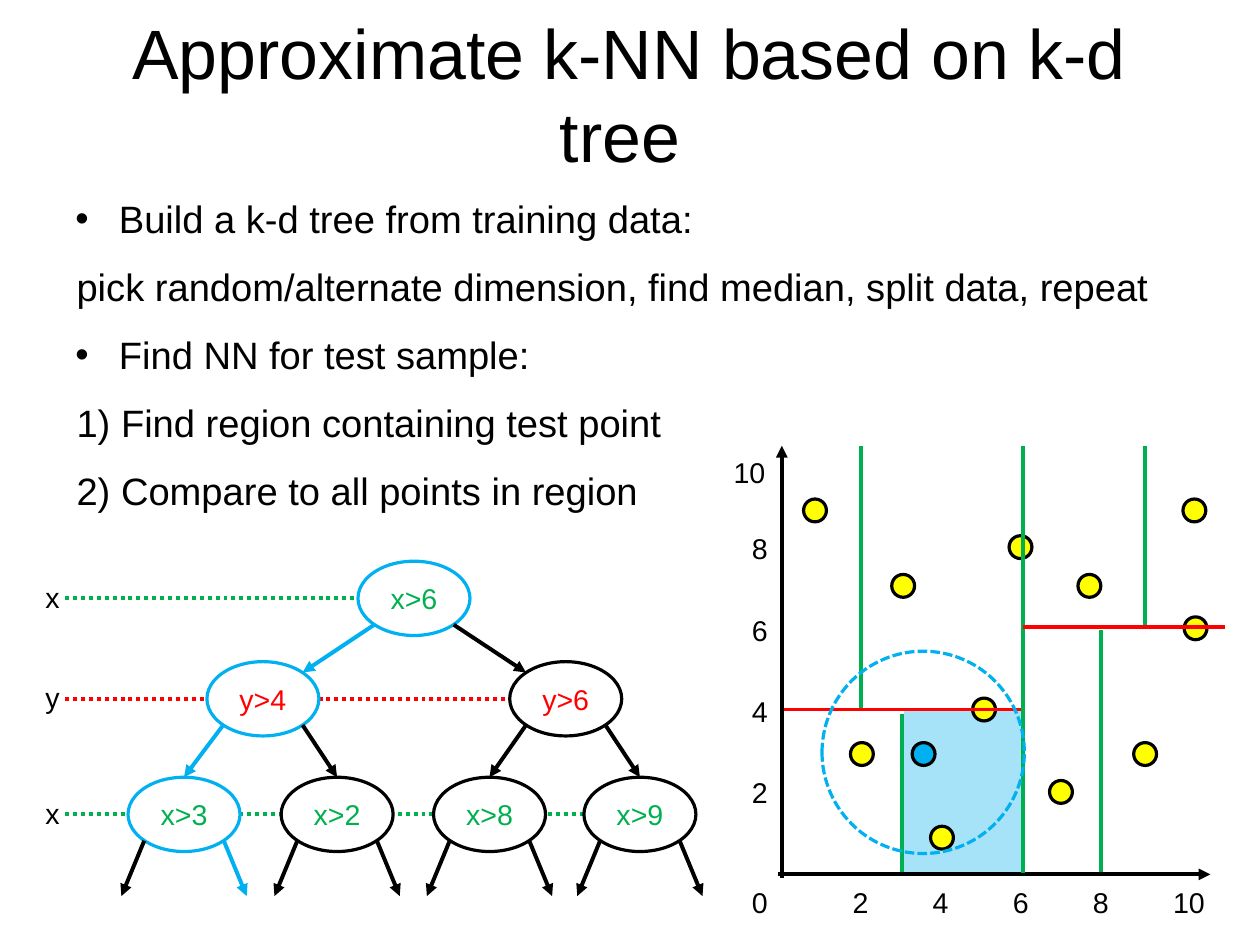
from pptx import Presentation
from pptx.dml.color import RGBColor
from pptx.enum.dml import MSO_LINE
from pptx.enum.shapes import MSO_CONNECTOR, MSO_SHAPE
from pptx.enum.text import MSO_ANCHOR, MSO_AUTO_SIZE, PP_ALIGN
from pptx.oxml.ns import qn
from pptx.util import Cm, Inches, Pt
from lxml.etree import SubElement

BLACK, WHITE, YELLOW = "000000", "FFFFFF", "FFFF00"
GREEN, RED, BLUE = "00B050", "FF0000", "00B0F0"
DOT = 0.2
NODE_W, NODE_H = 0.98, 0.65


def color(hex_str):
    return RGBColor.from_string(hex_str)


def write(p, text, size=18, fill=BLACK, align=None, after=0):
    p.alignment = align
    p.space_before, p.space_after = Pt(0), Pt(after)
    r = p.add_run()
    r.text = text
    r.font.name, r.font.size = "Arial", Pt(size)
    r.font.color.rgb = color(fill)


def line(s, x1, y1, x2, y2, stroke=BLACK, dash=None, arrow=False):
    c = s.shapes.add_connector(MSO_CONNECTOR.STRAIGHT,
                               *map(Inches, (x1, y1, x2, y2)))
    c.line.color.rgb, c.line.width = color(stroke), Pt(2.5)
    if dash:
        c.line.dash_style = dash
    if arrow:
        SubElement(c.line._get_or_add_ln(), qn("a:tailEnd"), type="triangle")
    SubElement(c._element.spPr, qn("a:effectLst"))


def shape(s, kind, x, y, w, h, fill=None, stroke=None, alpha=None):
    sp = s.shapes.add_shape(kind, *map(Inches, (x, y, w, h)))
    sp.shadow.inherit = False
    if fill:
        sp.fill.solid()
        sp.fill.fore_color.rgb = color(fill)
    else:
        sp.fill.background()
    if alpha:
        rgb = sp.fill._xPr.find(qn("a:solidFill"))[0]
        SubElement(rgb, qn("a:alpha"), val=str(alpha * 1000))
    if stroke:
        sp.line.color.rgb, sp.line.width = color(stroke), Pt(2)
    else:
        sp.line.fill.background()
    return sp


def label(s, text, x, y):
    w = 0.34 if len(text) == 1 else 0.5
    tf = s.shapes.add_textbox(*map(Inches, (x, y, w, 0.4))).text_frame
    tf.word_wrap = True
    write(tf.paragraphs[0], text)


def place(sp, x, y, w, h):
    sp.left, sp.top, sp.width, sp.height = map(Inches, (x, y, w, h))
    tf = sp.text_frame
    tf.auto_size, tf.word_wrap = MSO_AUTO_SIZE.NONE, True
    tf.margin_left = tf.margin_right = tf.margin_top = tf.margin_bottom = 0
    return tf


def title(s, *box):
    tf = place(s.shapes.title, *box)
    tf.vertical_anchor = MSO_ANCHOR.MIDDLE
    write(tf.paragraphs[0], "Approximate k-NN based on k-d tree ",
          size=44, align=PP_ALIGN.CENTER)


def steps(s, *box):
    tf = place(s.placeholders[1], *box)
    tf.vertical_anchor = MSO_ANCHOR.TOP
    rows = [
        ("Build a k-d tree from training data:", True),
        ("pick random/alternate dimension, find median, split data, repeat", False),
        ("Find NN for test sample:", True),
        ("1) Find region containing test point", False),
        ("2) Compare to all points in region", False),
    ]
    for i, (text, bullet) in enumerate(rows):
        p = tf.add_paragraph() if i else tf.paragraphs[0]
        pPr = p._p.get_or_add_pPr()
        pPr.set("marL", str(Inches(0.49 if bullet else 0.12)))
        pPr.set("indent", str(Inches(-0.38 if bullet else 0)))
        if bullet:
            SubElement(pPr, qn("a:buChar"), char="•")
        else:
            SubElement(pPr, qn("a:buNone"))
        write(p, text, size=24, align=PP_ALIGN.LEFT, after=14.1)


def scatter(s, x, y, w, h):
    """Training points and splits; x runs to 10.7 and y to 10.4."""
    top = 10.4

    def px(v):
        return x + v * w / 10.7

    def py(v):
        return y + h - v * h / top

    def dot(vx, vy, fill=YELLOW):
        shape(s, MSO_SHAPE.OVAL, px(vx) - DOT / 2, py(vy) - DOT / 2, DOT, DOT,
              fill, BLACK)

    # Region holding the test point
    shape(s, MSO_SHAPE.RECTANGLE, px(3.05), py(3.97), px(6.07) - px(3.05),
          py(0.05) - py(3.97), BLUE, alpha=35)

    # Axes and their numbers
    line(s, x, y + h + 0.03, x, y, arrow=True)
    line(s, x - 0.03, y + h, x + w, y + h, arrow=True)
    label(s, "0", x - 0.36, y + h + 0.04)
    for i, v in enumerate(range(2, 11, 2)):
        dx, dy = (0.52, 0.04) if v == 10 else (0.36, 0)
        label(s, str(v), px(v) - 0.18, y + h + 0.04)
        label(s, str(v), x - dx, y + 2.83 - 0.71 * i + dy)

    # Training points
    for vx, vy in [(0.83, 8.83), (3.03, 7), (2, 2.92), (4, 0.89), (5.05, 4),
                   (6.97, 2), (10.33, 5.97), (5.96, 7.94), (7.68, 7),
                   (10.3, 8.83)]:
        dot(vx, vy)

    # Splits on x (green) and on y (red)
    for vx, low, high in [(6.02, 0.03, top), (1.97, 4, top), (3, 0.05, 3.9),
                          (7.96, 0.05, 5.92), (9.07, 6.05, top)]:
        line(s, px(vx), py(low), px(vx), py(high), GREEN)
    for vy, left, right in [(4, 0.06, 5.97), (6, 6.02, 11.07)]:
        line(s, px(left), py(vy), px(right), py(vy), RED)

    # Last training point, test point and search circle
    dot(9.07, 2.92)
    dot(3.54, 2.92, BLUE)
    r = 0.885
    circle = shape(s, MSO_SHAPE.OVAL, px(3.53) - r, py(2.96) - r, 2 * r, 2 * r,
                   stroke=BLUE)
    SubElement(circle.line._get_or_add_ln(), qn("a:prstDash"), val="sysDash")


def tree(s, x, y, w, h):
    """Three levels of splits; the path of the test point is blue."""
    # Level: split axis, top, colour, nodes (text, left, on path)
    levels = [
        ("x", 0, GREEN, [("x>6", 0.48, True)]),
        ("y", 0.3, RED, [("y>4", 0.256, True), ("y>6", 0.705, False)]),
        ("x", 0.645, GREEN, [("x>3", 0.139, True), ("x>2", 0.366, False),
                             ("x>8", 0.592, False), ("x>9", 0.815, False)]),
    ]
    near, far = 0.145, 0.855  # diagonal points of an ellipse

    # Dotted level lines
    for axis, share, hue, nodes in levels:
        mid = y + share * h + NODE_H / 2
        line(s, x + 0.27, mid, x + nodes[-1][1] * w + NODE_W / 2, mid, hue,
             dash=MSO_LINE.ROUND_DOT)
        label(s, axis, x, mid - 0.21)

    # Nodes
    for axis, share, hue, nodes in levels:
        for text, left, on_path in nodes:
            sp = shape(s, MSO_SHAPE.OVAL, x + left * w, y + share * h, NODE_W,
                       NODE_H, WHITE, BLUE if on_path else BLACK)
            sp.text_frame.vertical_anchor = MSO_ANCHOR.MIDDLE
            write(sp.text_frame.paragraphs[0], text, fill=hue,
                  align=PP_ALIGN.CENTER)

    # Arrows to the two children, or short stubs below the last level
    for depth, (axis, share, hue, nodes) in enumerate(levels):
        for i, (text, left, on_path) in enumerate(nodes):
            for side, start in enumerate((near, far)):
                x1 = x + left * w + start * NODE_W
                y1 = y + share * h + far * NODE_H
                if depth == 2:
                    x2, y2 = x1 + (0.2 if side else -0.2), y + h
                    blue = on_path and side == 1
                else:
                    child_top, children = levels[depth + 1][1], levels[depth + 1][3]
                    child = children[2 * i + side]
                    end_x, end_y = (0.5, 0) if depth else (1 - start, near)
                    x2 = x + child[1] * w + end_x * NODE_W
                    y2 = y + child_top * h + end_y * NODE_H
                    blue = child[2]
                line(s, x1, y1, x2, y2, BLUE if blue else BLACK, arrow=True)


def main():
    prs = Presentation()
    prs.slide_width, prs.slide_height = Cm(28), Cm(21)
    s = prs.slides.add_slide(prs.slide_layouts[1])
    title(s, 0.55, 0.33, 9.92, 0.97)
    steps(s, 0.55, 1.71, 9.92, 2.86)
    scatter(s, 6.84, 3.9, 3.75, 3.75)
    tree(s, 0.3, 4.91, 5.9, 2.93)
    prs.save("out.pptx")


if __name__ == "__main__":
    main()
